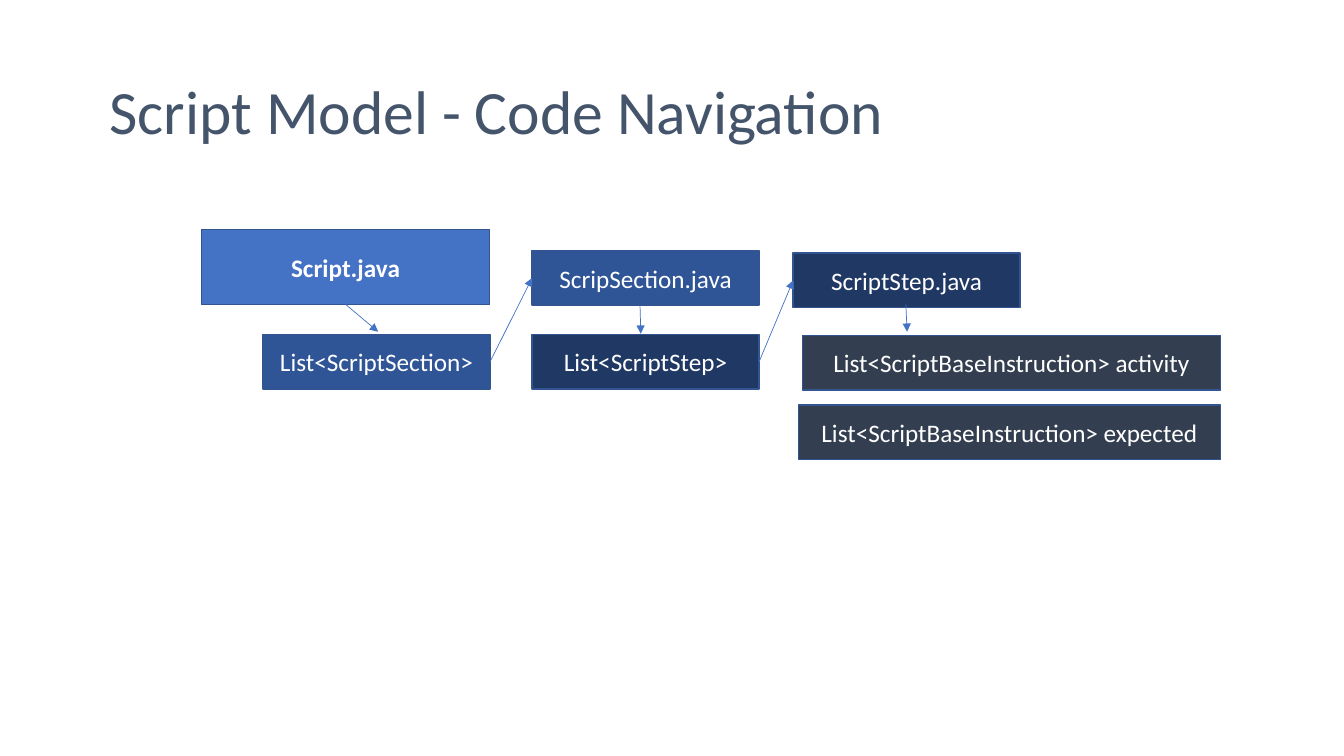
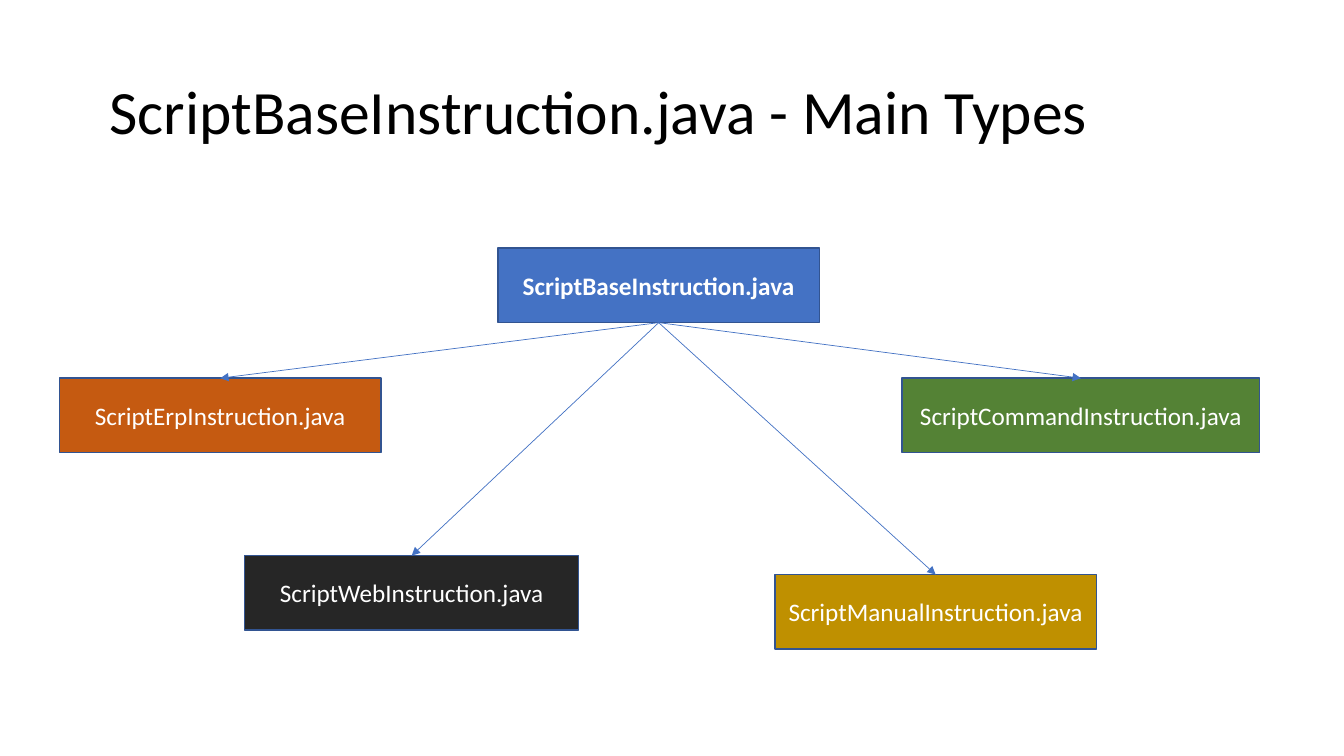
"""Build two slides on the script model: code navigation and instruction types."""
from lxml import etree
from pptx import Presentation
from pptx import util as u
from pptx.dml.color import RGBColor
from pptx.enum import shapes, text
from pptx.oxml.ns import qn

FONT = "Calibri"
SLATE = RGBColor(0x44, 0x54, 0x6A)
BLACK = RGBColor(0x00, 0x00, 0x00)
WHITE = RGBColor(0xFF, 0xFF, 0xFF)
BLUE = RGBColor(0x44, 0x72, 0xC4)
OUTLINE = RGBColor(0x32, 0x54, 0x91)
MID_BLUE = RGBColor(0x2F, 0x55, 0x97)
NAVY = RGBColor(0x20, 0x38, 0x64)
CHARCOAL = RGBColor(0x33, 0x3F, 0x50)
ORANGE = RGBColor(0xC5, 0x5A, 0x11)
GOLD = RGBColor(0xBF, 0x90, 0x00)
GREEN = RGBColor(0x54, 0x82, 0x35)
INK = RGBColor(0x26, 0x26, 0x26)

TALL, LOW = 1.88, 1.37
FILE_W = 5.72
TYPE_W = 8.1
TOP, LEFT, BOTTOM, RIGHT = range(4)


def add_run(p, words, size, color, bold=False):
    """Add one formatted run to a paragraph."""
    r = p.add_run()
    r.text = words
    r.font.name = FONT
    r.font.size = u.Pt(size)
    r.font.bold = bold
    r.font.color.rgb = color


def add_titled_slide(prs, title, color):
    """Add a title-only slide and format its title."""
    s = prs.slides.add_slide(prs.slide_layouts[5])
    sp = s.shapes.title
    sp.left, sp.top, sp.width, sp.height = map(u.Cm, (2.51, 1.68, 29.21, 2.39))
    tf = sp.text_frame
    tf.word_wrap = True
    tf.auto_size = text.MSO_AUTO_SIZE.NONE
    tf.vertical_anchor = text.MSO_ANCHOR.MIDDLE
    p = tf.paragraphs[0]
    p.alignment = text.PP_ALIGN.LEFT
    p.line_spacing = 0.9
    add_run(p, title, 44, color)
    return s


def add_box(s, label, x, y, w, h, fill, bold=False):
    """Add an outlined rectangle with a centred label."""
    sp = s.shapes.add_shape(shapes.MSO_SHAPE.RECTANGLE, *map(u.Cm, (x, y, w, h)))
    sp.shadow.inherit = False
    sp.fill.solid()
    sp.fill.fore_color.rgb = fill
    sp.line.color.rgb = OUTLINE
    sp.line.width = u.Pt(1)
    tf = sp.text_frame
    tf.word_wrap = True
    tf.vertical_anchor = text.MSO_ANCHOR.MIDDLE
    p = tf.paragraphs[0]
    p.alignment = text.PP_ALIGN.CENTER
    add_run(p, label, 18, WHITE, bold)
    return sp


def add_arrow(s, x1=0, y1=0, x2=0, y2=0, source=None, target=None):
    """Add a thin arrow between points, or between (box, side) pairs."""
    line = s.shapes.add_connector(
        shapes.MSO_CONNECTOR.STRAIGHT, *map(u.Cm, (x1, y1, x2, y2)))
    if source:
        line.begin_connect(*source)
    if target:
        line.end_connect(*target)
    line.line.color.rgb = BLUE
    line.line.width = u.Pt(0.5)
    etree.SubElement(line.line._get_or_add_ln(), qn("a:tailEnd"), type="triangle")
    etree.SubElement(line._element.spPr, qn("a:effectLst"))


def add_navigation_slide(prs):
    """Show how the script classes lead to one another."""
    s = add_titled_slide(prs, "Script Model - Code Navigation", SLATE)
    add_box(s, "Script.java", 5.08, 5.79, 7.26, TALL, BLUE, bold=True)
    section_list = add_box(s, "List<ScriptSection>", 6.63, 8.43, FILE_W, LOW, MID_BLUE)
    section = add_box(s, "ScripSection.java", 13.41, 6.32, FILE_W, LOW, MID_BLUE)
    step_list = add_box(s, "List<ScriptStep>", 13.41, 8.43, FILE_W, LOW, NAVY)
    step = add_box(s, "ScriptStep.java", 19.99, 6.38, FILE_W, LOW, NAVY)
    add_box(s, "List<ScriptBaseInstruction> activity", 20.22, 8.46, 10.54, LOW, CHARCOAL)
    add_box(s, "List<ScriptBaseInstruction> expected", 20.12, 10.21, 10.64, LOW, CHARCOAL)
    for ends in ((8.71, 7.67, 9.53, 8.36),
                 (16.13, 7.72, 16.15, 8.41),
                 (22.83, 7.67, 22.86, 8.36)):
        add_arrow(s, *ends)
    for member, owner in ((section_list, section), (step_list, step)):
        add_arrow(s, source=(member, RIGHT), target=(owner, LEFT))


def add_types_slide(prs):
    """Show the main instruction types below their base class."""
    s = add_titled_slide(prs, "ScriptBaseInstruction.java - Main Types", BLACK)
    base = add_box(s, "ScriptBaseInstruction.java", 12.55, 6.25, TYPE_W, TALL, BLUE, bold=True)
    for kind, x, y, w, fill in (("Erp", 1.5, 9.53, TYPE_W, ORANGE),
                                ("Manual", 19.53, 14.48, TYPE_W, GOLD),
                                ("Command", 22.73, 9.53, 9.02, GREEN),
                                ("Web", 6.17, 14, 8.41, INK)):
        box = add_box(s, f"Script{kind}Instruction.java", x, y, w, TALL, fill)
        add_arrow(s, source=(base, BOTTOM), target=(box, TOP))


def main():
    """Build and save the presentation."""
    prs = Presentation()
    prs.slide_width, prs.slide_height = u.Cm(33.87), u.Cm(19.05)
    add_navigation_slide(prs)
    add_types_slide(prs)
    prs.save("out.pptx")


main()
